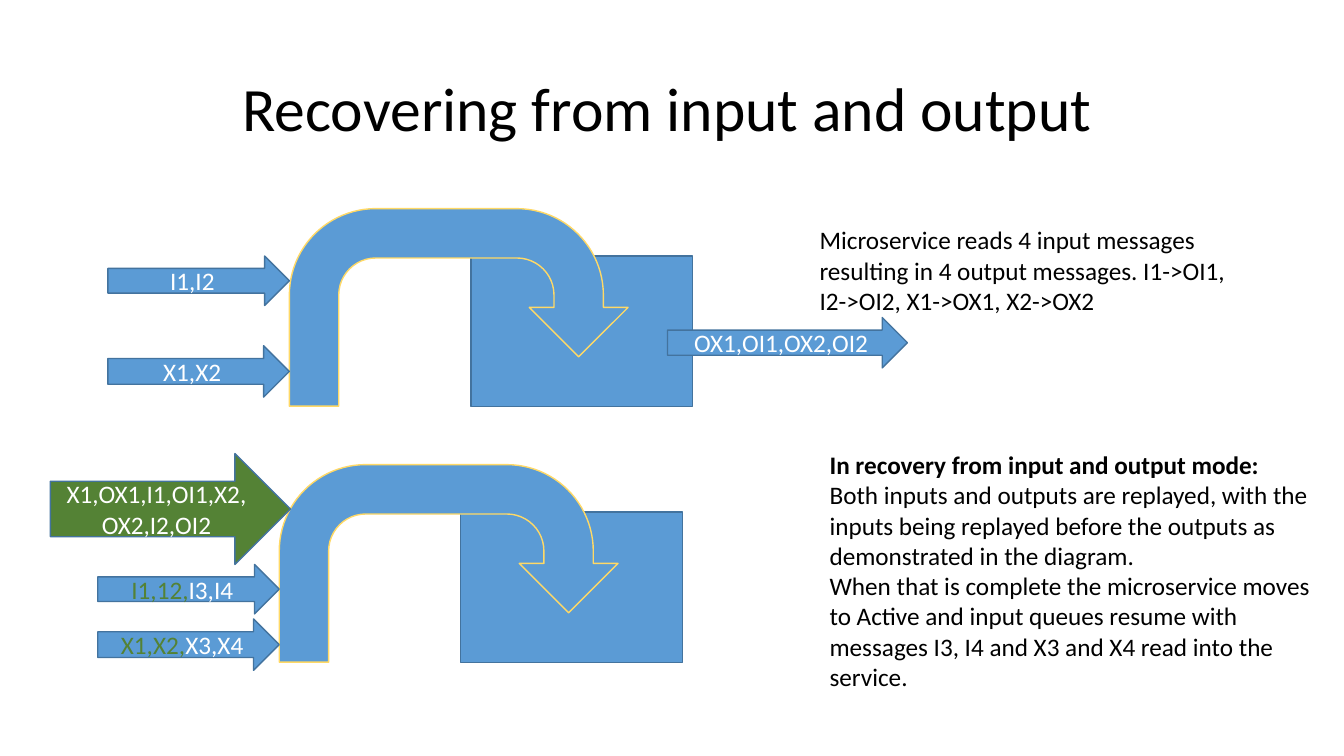
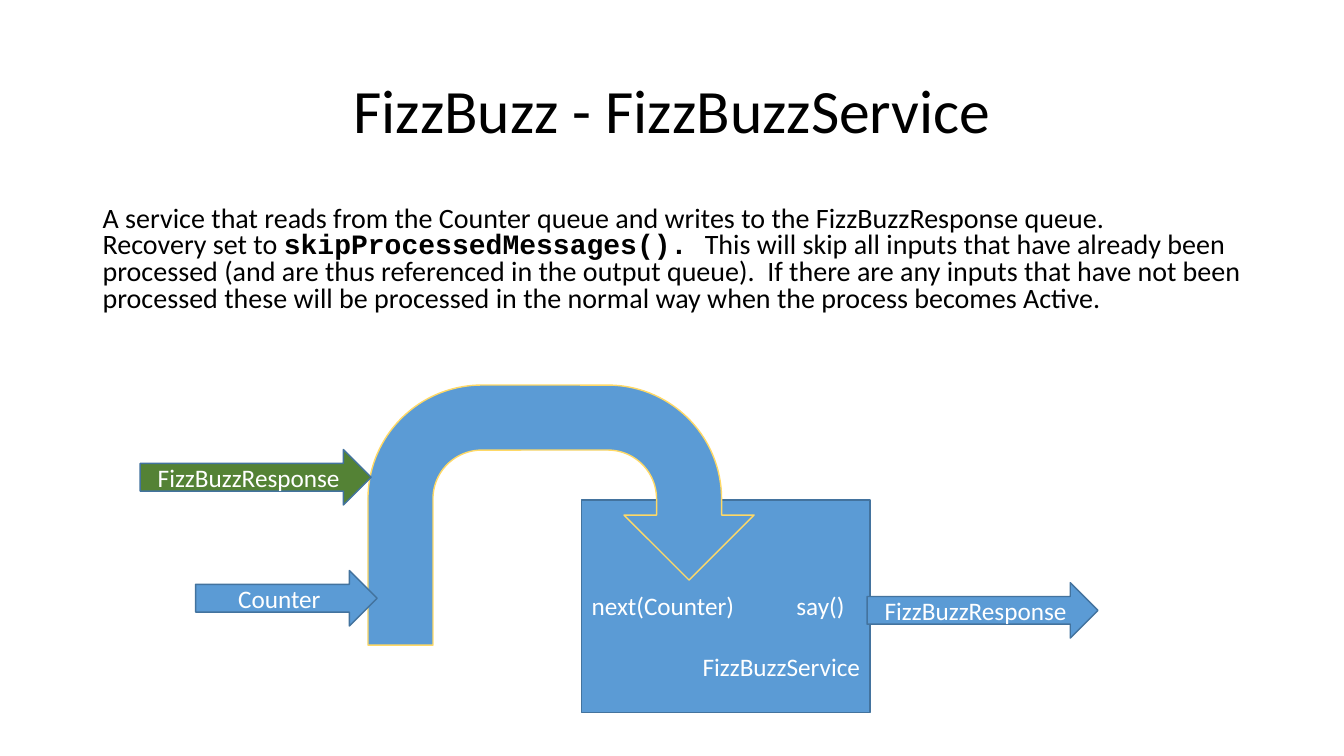
from dataclasses import dataclass
from typing import Any, Optional

from lxml.etree import SubElement
from pptx import Presentation
from pptx.dml.color import RGBColor
from pptx.enum.shapes import MSO_SHAPE as Preset
from pptx.enum.text import MSO_ANCHOR as Anchor, PP_ALIGN as Align
from pptx.oxml.ns import qn
from pptx.util import Inches, Pt


@dataclass(frozen=True)
class Theme:
    black: str = "000000"
    white: str = "FFFFFF"
    blue: str = "5B9BD5"
    edge: str = "43739E"
    yellow: str = "FFD966"
    green: str = "548235"
    sans: str = "Calibri"
    mono: str = "Courier New"
    title_size: int = 44
    body_size: int = 20
    label_size: int = 18


THEME = Theme()


@dataclass(frozen=True)
class Place:
    left: float
    top: float
    width: float
    height: float

    def lengths(self) -> list[int]:
        return [Inches(n) for n in (self.left, self.top, self.width, self.height)]


@dataclass(frozen=True)
class Span:
    text: str
    color: str = THEME.black
    size: int = THEME.label_size
    bold: bool = False
    font: str = THEME.sans


@dataclass(frozen=True)
class Para:
    spans: tuple[Span, ...]
    align: Align = Align.LEFT
    line_spacing: float = 1.0
    space_before: int = 0
    tab: Optional[float] = None


@dataclass(frozen=True)
class Arrow:
    place: Place
    spans: tuple[Span, ...]
    fill: str = THEME.blue


def set_all(target: Any, values: dict[str, Any]) -> None:
    for name, value in values.items():
        setattr(target, name, value)


def label(text: str) -> tuple[Span, ...]:
    return (Span(text, THEME.white),)


def write(frame: Any, paras: list[Para], anchor: Anchor, top_inset: float = 0.05) -> None:
    set_all(frame, {"word_wrap": True, "vertical_anchor": anchor,
                    "margin_top": Inches(top_inset)})
    for index, item in enumerate(paras):
        para = frame.add_paragraph() if index else frame.paragraphs[0]
        set_all(para, {"alignment": item.align, "line_spacing": item.line_spacing,
                       "space_before": Pt(item.space_before)})
        if item.tab is not None:
            tabs = SubElement(para._p.get_or_add_pPr(), qn("a:tabLst"))
            SubElement(tabs, qn("a:tab"), pos=str(Inches(item.tab)), algn="l")
        for span in item.spans:
            for number, line in enumerate(span.text.split("\n")):
                if number:
                    para.add_line_break()
                if line:
                    run = para.add_run()
                    run.text = line
                    set_all(run.font, {"name": span.font, "size": Pt(span.size),
                                       "bold": span.bold})
                    run.font.color.rgb = RGBColor.from_string(span.color)


def add_text(page: Any, place: Place, paras: list[Para], anchor: Anchor = Anchor.TOP) -> None:
    box = page.shapes.add_textbox(*place.lengths())
    write(box.text_frame, paras, anchor)


def add_preset(page: Any, preset: Preset, place: Place, fill: str = THEME.blue,
               line: str = THEME.edge) -> Any:
    shape = page.shapes.add_shape(preset, *place.lengths())
    shape.shadow.inherit = False
    shape.fill.solid()
    shape.fill.fore_color.rgb = RGBColor.from_string(fill)
    shape.line.color.rgb = RGBColor.from_string(line)
    shape.line.width = Pt(1)
    return shape


def add_service(page: Any, service: Place, turn: Place) -> Any:
    box = add_preset(page, Preset.RECTANGLE, service)
    add_preset(page, Preset.U_TURN_ARROW, turn, line=THEME.yellow)
    return box


def add_arrows(page: Any, arrows: list[Arrow]) -> None:
    for arrow in arrows:
        shape = add_preset(page, Preset.RIGHT_ARROW, arrow.place, arrow.fill)
        write(shape.text_frame, [Para(arrow.spans, Align.CENTER)], Anchor.MIDDLE)


def add_page(deck: Any, title: str, left: float, top: float) -> Any:
    page = deck.slides.add_slide(deck.slide_layouts[6])
    heading = Para((Span(title, size=THEME.title_size),), Align.CENTER, 0.9)
    add_text(page, Place(left, top, 11.5, 1.45), [heading], Anchor.MIDDLE)
    return page


def recovery_page(deck: Any) -> None:
    page = add_page(deck, "Recovering from input and output", 0.87, 0.38)
    for left, top in ((2.87, 2.07), (2.77, 4.61)):
        add_service(page, Place(left + 1.8, top + 0.47, 2.2, 1.49),
                    Place(left, top, 3.36, 1.96))
    add_arrows(page, [
        Arrow(Place(1.07, 3.43, 1.8, 0.51), label("X1,X2")),
        Arrow(Place(1.07, 2.54, 1.8, 0.49), label("I1,I2")),
        Arrow(Place(6.62, 3.15, 2.38, 0.5), label("OX1,OI1,OX2,OI2")),
        Arrow(Place(0.5, 4.5, 2.38, 1.1), label("X1,OX1,I1,OI1,X2,OX2,I2,OI2"),
              THEME.green),
        Arrow(Place(0.97, 6.14, 1.8, 0.51),
              (Span("X1,X2,", THEME.green), *label("X3,X4"))),
        Arrow(Place(0.97, 5.6, 1.8, 0.49),
              (Span("I1,12,", THEME.green), *label("I3,I4"))),
    ])
    add_text(page, Place(8.03, 2.18, 4.32, 1.01), [Para((Span(
        "Microservice reads 4 input messages resulting in 4 output messages. "
        "I1->OI1, I2->OI2, X1->OX1, X2->OX2"),))])
    add_text(page, Place(8.13, 4.41, 4.97, 2.52), [
        Para((Span("In recovery from input and output mode:", bold=True),)),
        Para((Span("Both inputs and outputs are replayed, with the inputs being replayed "
                   "before the outputs as demonstrated in the diagram."),)),
        Para((Span("When that is complete the microservice moves to Active and input "
                   "queues resume with messages I3, I4 and X3 and X4 read into the "
                   "service."),)),
    ])


def fizzbuzz_page(deck: Any) -> None:
    page = add_page(deck, "FizzBuzz - FizzBuzzService", 0.92, 0.4)
    size = THEME.body_size
    add_text(page, Place(0.92, 2, 11.93, 1.26), [Para((
        Span("A service that reads from the Counter queue and writes to the "
             "FizzBuzzResponse queue.\nRecovery set to ", size=size),
        Span("skipProcessedMessages(). ", size=size, bold=True, font=THEME.mono),
        Span("This will skip all inputs that have already been processed (and are thus "
             "referenced in the output queue).  If there are any inputs that have not "
             "been processed these will be processed in the normal way when the process "
             "becomes Active.", size=size),
    ), line_spacing=0.8)])
    service = add_service(page, Place(5.77, 4.96, 2.86, 2.11),
                          Place(3.65, 3.82, 3.83, 2.58))
    write(service.text_frame, [
        Para(label("next(Counter)\tsay()"), tab=2.03),
        Para(label("FizzBuzzService"), Align.RIGHT, space_before=22),
    ], Anchor.TOP, top_inset=0.9)
    add_arrows(page, [
        Arrow(Place(1.94, 5.66, 1.8, 0.55), label("Counter")),
        Arrow(Place(8.6, 5.78, 2.29, 0.55), label("FizzBuzzResponse")),
        Arrow(Place(1.39, 4.46, 2.29, 0.55), label("FizzBuzzResponse"), THEME.green),
    ])


def main() -> None:
    deck = Presentation()
    set_all(deck, {"slide_width": Inches(13.33), "slide_height": Inches(7.5)})
    recovery_page(deck)
    fizzbuzz_page(deck)
    deck.save("out.pptx")


if __name__ == "__main__":
    main()
